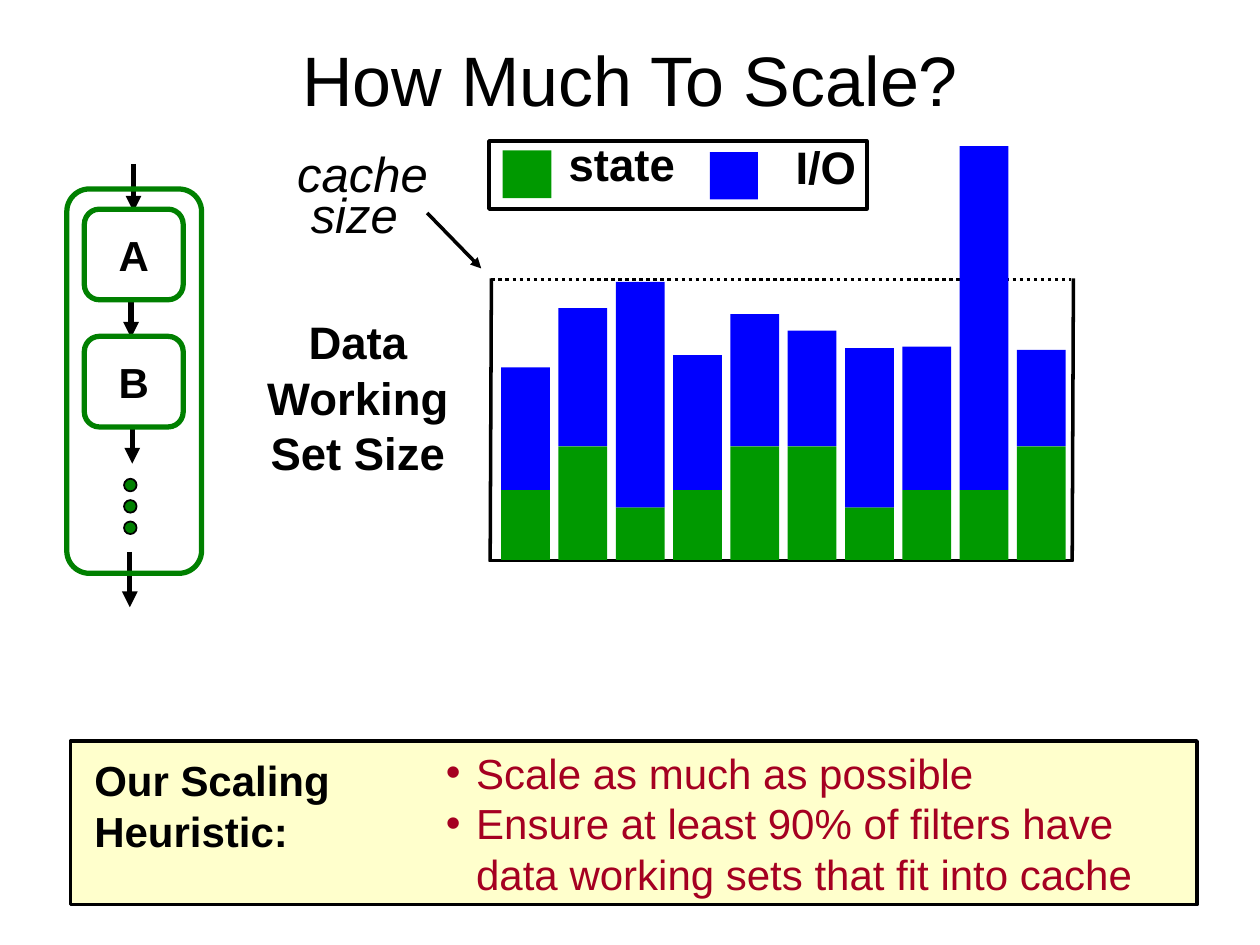
import pptx
import pptx.util
import pptx.dml.color
import pptx.enum.dml
import pptx.enum.shapes
import pptx.enum.text
import pptx.oxml
import pptx.oxml.ns

Pt = pptx.util.Pt
rgb = pptx.dml.color.RGBColor.from_string
MSO = pptx.enum.shapes.MSO_SHAPE
ALIGN = pptx.enum.text.PP_ALIGN
ANCHOR = pptx.enum.text.MSO_ANCHOR
BLACK, GREEN, BLUE, OUTLINE, RED = "000000", "009900", "0000FF", "008000", "A50021"


def add_shape(kind, x, y, w, h, fill=None, line=None, width=2):
    sp = s.shapes.add_shape(kind, Pt(x), Pt(y), Pt(w), Pt(h))
    sp.shadow.inherit = False
    if fill:
        sp.fill.solid()
        sp.fill.fore_color.rgb = rgb(fill)
    else:
        sp.fill.background()
    if line:
        sp.line.color.rgb = rgb(line)
        sp.line.width = Pt(width)
    else:
        sp.line.fill.background()
    return sp


def write(tf, lines, size, colour=BLACK, para={}, **font):
    tf.auto_size = pptx.enum.text.MSO_AUTO_SIZE.NONE
    for i, line in enumerate(lines):
        p = tf.paragraphs[0] if i == 0 else tf.add_paragraph()
        p.text = line
        for name, value in para.items():
            setattr(p, name, value)
        for r in p.runs:
            for name, value in {"name": "Arial", "size": Pt(size), **font}.items():
                setattr(r.font, name, value)
            r.font.color.rgb = rgb(colour)


prs = pptx.Presentation()
prs.slide_width, prs.slide_height = Pt(720), Pt(540)
s = prs.slides.add_slide(prs.slide_layouts[1])

title, body = s.placeholders
for sp, box in ((title, (36, 0, 648, 90)), (body, (40.3, 423.4, 643.7, 93.6))):
    sp.left, sp.top, sp.width, sp.height = map(Pt, box)
title.text_frame.vertical_anchor = ANCHOR.MIDDLE
write(title.text_frame, ["How Much To Scale?"], 40, para={"alignment": ALIGN.CENTER})

body.fill.solid()
body.fill.fore_color.rgb = rgb("FFFFCC")
body.line.color.rgb = rgb(BLACK)
body.line.width = Pt(2)
body.text_frame.vertical_anchor = ANCHOR.TOP
write(body.text_frame, ["Scale as much as possible",
                        "Ensure at least 90% of filters have data working sets that fit into cache"],
      24, RED, {"space_before": Pt(0)})
for p in body.text_frame.paragraphs:
    pPr = p._p.get_or_add_pPr()
    pPr.set("marL", str(Pt(224.6)))
    pPr.set("indent", str(Pt(-17.3)))

lines = [
    (280.8, 159.8, 612, 159.8, 2, "dotted"),
    (279.4, 320.4, 613.4, 320.4, 2, None),
    (280.1, 321, 280.8, 159.1, 2, None),
    (612.7, 321, 613.4, 159.1, 2, None),
    (244.1, 121.7, 275, 153.4, 2, "arrow"),
    (76.3, 93.6, 76.3, 121, 3, "arrow"),
    (74.9, 170.6, 74.9, 193, 3, "arrow"),
    (75.6, 243.4, 75.6, 265, 3, "arrow"),
    (74.2, 315.4, 74.2, 347, 3, "arrow"),
]
for x1, y1, x2, y2, width, style in lines:
    c = s.shapes.add_connector(pptx.enum.shapes.MSO_CONNECTOR.STRAIGHT,
                               Pt(x1), Pt(y1), Pt(x2), Pt(y2))
    c.line.color.rgb = rgb(BLACK)
    c.line.width = Pt(width)
    if style == "dotted":
        c.line.dash_style = pptx.enum.dml.MSO_LINE.ROUND_DOT
    if style == "arrow":
        tail = pptx.oxml.parse_xml(f'<a:tailEnd {pptx.oxml.ns.nsdecls("a")} type="triangle"/>')
        c.line._get_or_add_ln().append(tail)
    c._element.spPr.append(pptx.oxml.parse_xml(f'<a:effectLst {pptx.oxml.ns.nsdecls("a")}/>'))

base = 320
state = [40, 65, 30, 40, 65, 65, 30, 40, 40, 65]
io = [70, 79, 129, 77, 75.5, 66, 91, 82, 196.5, 55]
for i, (low, high) in enumerate(zip(state, io)):
    x = 286.4 + 32.75 * i
    add_shape(MSO.RECTANGLE, x, base - low, 27.9, low, GREEN)
    add_shape(MSO.RECTANGLE, x, base - low - high, 27.9, high, BLUE)

add_shape(MSO.RECTANGLE, 279.4, 80.6, 216, 38.9, line=BLACK)
add_shape(MSO.RECTANGLE, 287.3, 85.9, 27.9, 27.3, GREEN)
add_shape(MSO.RECTANGLE, 405.7, 87, 27.5, 27, BLUE)

add_shape(MSO.FLOWCHART_ALTERNATE_PROCESS, 38.2, 108, 77, 219.6, line=OUTLINE, width=3)
for name, kind, y in (("A", MSO.FLOWCHART_ALTERNATE_PROCESS, 119.5),
                      ("B", MSO.ROUNDED_RECTANGLE, 192.2)):
    sp = add_shape(kind, 48.2, y, 56.5, 51.8, line=OUTLINE, width=3)
    sp.text_frame.word_wrap = False
    sp.text_frame.vertical_anchor = ANCHOR.MIDDLE
    write(sp.text_frame, [name], 24,
          para={"alignment": ALIGN.CENTER, "space_before": Pt(6)}, bold=True)
for i in range(3):
    add_shape(MSO.OVAL, 70.9, 273.6 + 12.2 * i, 7.2, 7.2, OUTLINE, BLACK, 1)

centred = {"alignment": ALIGN.CENTER, "space_before": Pt(6.5)}
labels = [
    (46.8, 427.7, 155.5, 64.8, ["Our Scaling\vHeuristic:"], 24, {}, {"bold": True}),
    (142.6, 182.2, 123.8, 99.4, ["Data", "Working", "Set Size"], 26,
     {**centred, "line_spacing": 0.8}, {"bold": True}),
    (316.1, 82.8, 78.5, 31, ["state"], 26, {**centred, "line_spacing": 0.7}, {"bold": True}),
    (432.7, 84.2, 78.5, 31, ["I/O"], 26, {**centred, "line_spacing": 0.7}, {"bold": True}),
    (162.7, 92.9, 97.2, 48.2, ["cache", "size"], 28,
     {"line_spacing": 0.5, "space_before": Pt(7)}, {"italic": True}),
]
for x, y, w, h, text, size, para, font in labels:
    tf = s.shapes.add_textbox(Pt(x), Pt(y), Pt(w), Pt(h)).text_frame
    tf.word_wrap = True
    write(tf, text, size, para=para, **font)
tf.paragraphs[1]._p.get_or_add_pPr().set("marL", str(Pt(7.8)))

prs.save("out.pptx")
